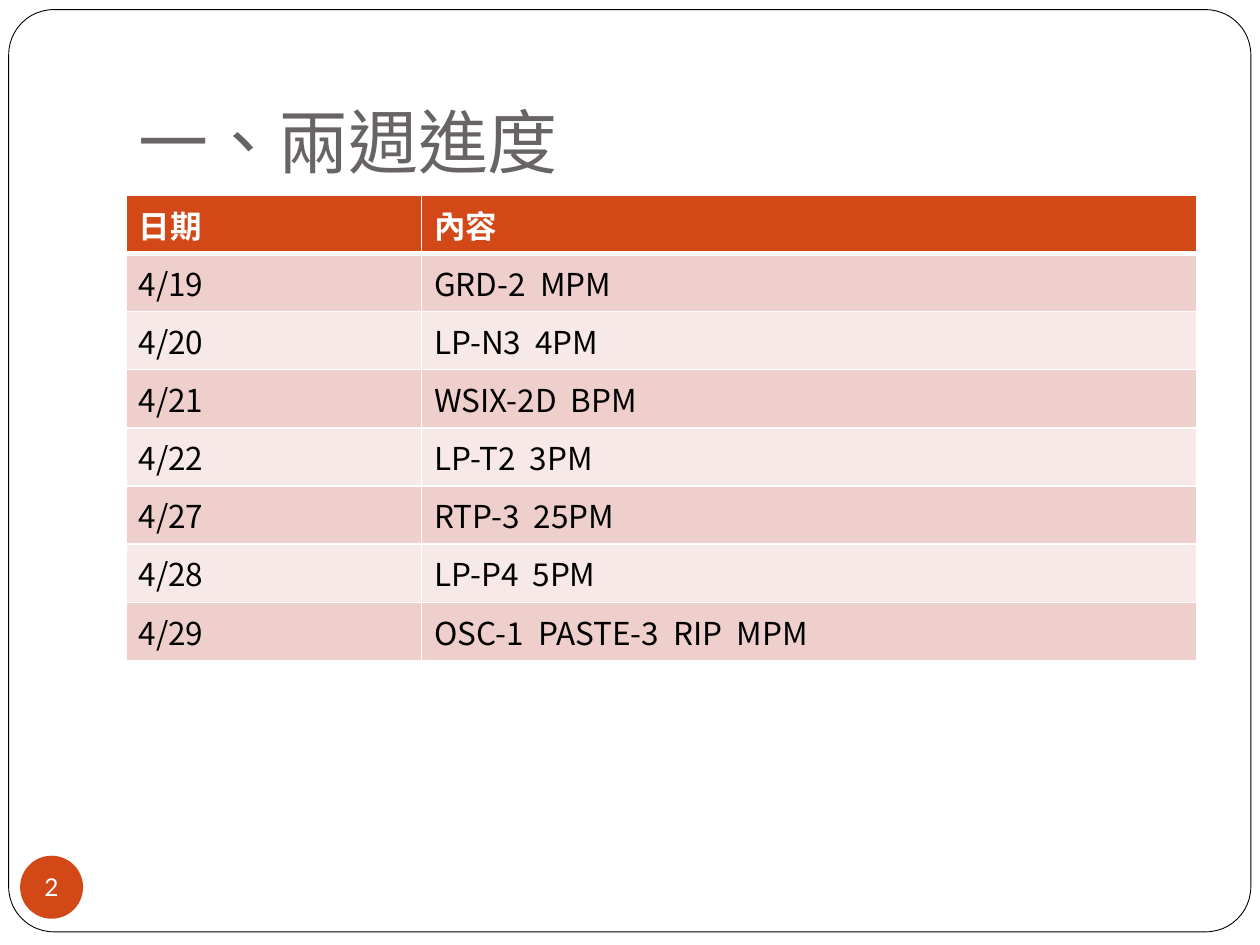
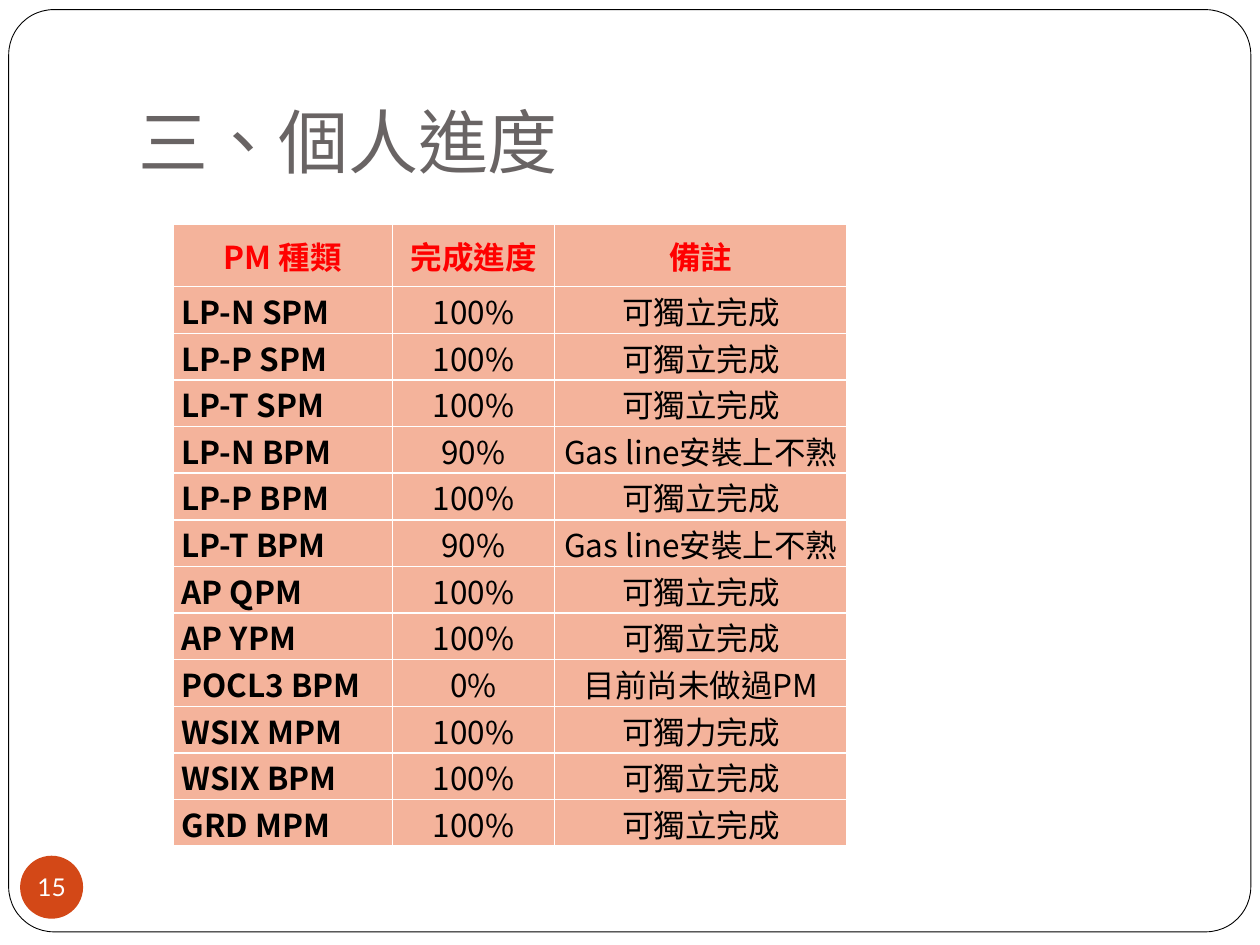
import pptx
import pptx.dml.color
import pptx.enum.lang
import pptx.enum.shapes
import pptx.enum.text
import pptx.oxml
import pptx.oxml.ns
import pptx.util

Pt = pptx.util.Pt
SHAPE = pptx.enum.shapes.MSO_SHAPE
ALIGN = pptx.enum.text.PP_ALIGN
ANCHOR = pptx.enum.text.MSO_ANCHOR
TAIWAN = pptx.enum.lang.MSO_LANGUAGE_ID.TRADITIONAL_CHINESE

COLORS = {
    "white": "FFFFFF", "black": "000000", "title": "696464",
    "accent": "D34817", "band_dark": "EFCFCC", "band_light": "F7E9E8",
    "peach": "F4B39B", "red": "FF0000",
}
TITLE_FONT, TABLE_FONT = "Lato", "Noto Sans CJK SC"
SLIDE_BOX = (0, 0, 720, 540)
CELL_MARGINS = (7.2, 3.6, 7.2, 3.6)
TIGHT_MARGINS = (0.72, 0.72, 0.72, 0)
NAME_MARGINS = (4.75, 0.72, 0.72, 0)

SCHEDULE = [
    ("日期", "內容"),
    ("4/19", "GRD-2  MPM"),
    ("4/20", "LP-N3  4PM"),
    ("4/21", "WSIX-2D  BPM"),
    ("4/22", "LP-T2  3PM"),
    ("4/27", "RTP-3  25PM"),
    ("4/28", "LP-P4  5PM"),
    ("4/29", "OSC-1  PASTE-3  RIP  MPM"),
]
DONE, GAS_LINE = "可獨立完成", "Gas line安裝上不熟"
PROGRESS = [
    ("PM 種類", "完成進度", "備註"),
    ("LP-N SPM", "100%", DONE),
    ("LP-P SPM", "100%", DONE),
    ("LP-T SPM", "100%", DONE),
    ("LP-N BPM", "90%", GAS_LINE),
    ("LP-P BPM", "100%", DONE),
    ("LP-T BPM", "90%", GAS_LINE),
    ("AP QPM", "100%", DONE),
    ("AP YPM", "100%", DONE),
    ("POCL3 BPM", "0%", "目前尚未做過PM"),
    ("WSIX MPM", "100%", "可獨力完成"),
    ("WSIX BPM", "100%", DONE),
    ("GRD MPM", "100%", DONE),
]


def rgb(name):
    return pptx.dml.color.RGBColor.from_string(COLORS[name])


def write(frame, text, *, size=18, font=TABLE_FONT, color="black", bold=False,
          align=ALIGN.LEFT):
    paragraph = frame.paragraphs[0]
    paragraph.alignment = align
    run = paragraph.add_run()
    run.text = text
    run.font.size, run.font.name, run.font.bold = Pt(size), font, bold
    run.font.color.rgb = rgb(color)
    run.font.language_id = TAIWAN


def set_margins(holder, margins):
    (holder.margin_left, holder.margin_top,
     holder.margin_right, holder.margin_bottom) = map(Pt, margins)


def set_borders(cell, top=1, bottom=1):
    """White cell borders; widths in points."""
    properties = cell._tc.get_or_add_tcPr()
    widths = {"lnL": 1, "lnR": 1, "lnT": top, "lnB": bottom}
    for position, (side, width) in enumerate(widths.items()):
        properties.insert(position, pptx.oxml.parse_xml(
            f'<a:{side} {pptx.oxml.ns.nsdecls("a")} w="{Pt(width)}"><a:solidFill>'
            f'<a:srgbClr val="{COLORS["white"]}"/></a:solidFill></a:{side}>'))


def add_filled(slide, kind, box, fill):
    shape = slide.shapes.add_shape(kind, *map(Pt, box))
    shape.shadow.inherit = False
    shape.fill.solid()
    shape.fill.fore_color.rgb = rgb(fill)
    return shape


def add_frame_and_title(slide, box, title):
    left, top, width, height = box
    # Rounded page frame
    page = add_filled(slide, SHAPE.ROUNDED_RECTANGLE,
                      (left + 5, top + 5.5, width - 10.2, height - 13), "white")
    page.adjustments[0] = 0.049
    page.line.color.rgb = rgb("black")
    page.line.width = Pt(0.5)
    # Title
    heading = slide.shapes.add_textbox(
        *map(Pt, (left + 72, top + 21.6, width - 108, 90))).text_frame
    heading.word_wrap = True
    heading.vertical_anchor = ANCHOR.BOTTOM
    set_margins(heading, (7.2, 3.6, 7.2, 7.2))
    write(heading, title, size=40, font=TITLE_FONT, color="title")


def add_page_number(slide, box, number):
    left, top, _, height = box
    badge = add_filled(slide, SHAPE.OVAL,
                       (left + 11.5, top + height - 51, 36, 36), "accent")
    badge.line.fill.background()
    frame = badge.text_frame
    frame.word_wrap = False
    frame.vertical_anchor = ANCHOR.MIDDLE
    set_margins(frame, (0, 0, 0, 0))
    write(frame, str(number), size=14, font=TITLE_FONT, color="white",
          align=ALIGN.CENTER)


def add_table(slide, left, top, widths, heights, rows, style_cell):
    """Fill a table; style_cell(row, column) gives each cell's look."""
    table = slide.shapes.add_table(
        len(rows), len(widths),
        *map(Pt, (left, top, sum(widths), sum(heights)))).table
    for column, width in zip(table.columns, widths):
        column.width = Pt(width)
    for r, (row, height) in enumerate(zip(rows, heights)):
        table.rows[r].height = Pt(height)
        for c, text in enumerate(row):
            look = style_cell(r, c)
            cell = table.cell(r, c)
            cell.fill.solid()
            cell.fill.fore_color.rgb = rgb(look["fill"])
            cell.vertical_anchor = look["anchor"]
            set_margins(cell, look["margins"])
            set_borders(cell, **look["borders"])
            write(cell.text_frame, text, **look["text"])


def schedule_cell(row, column):
    header = row == 0
    band = "band_dark" if row % 2 else "band_light"
    return {
        "fill": "accent" if header else band,
        "anchor": ANCHOR.TOP,
        "margins": CELL_MARGINS,
        "borders": {"top": 3 if row == 1 else 1, "bottom": 3 if header else 1},
        "text": {"color": "white" if header else "black", "bold": header},
    }


def progress_cell(row, column):
    header = row == 0
    pm_name = column == 0 and not header
    return {
        "fill": "peach",
        "anchor": ANCHOR.MIDDLE,
        "margins": NAME_MARGINS if pm_name else TIGHT_MARGINS,
        "borders": {},
        "text": {"color": "red" if header else "black",
                 "bold": header or pm_name,
                 "align": ALIGN.LEFT if pm_name else ALIGN.CENTER},
    }


def add_schedule(slide, box):
    left, top, _, _ = box
    add_table(slide, left + 72, top + 111.6, [169, 443],
              [33.24] * len(SCHEDULE), SCHEDULE, schedule_cell)


def add_progress(slide, box):
    left, top, _, _ = box
    add_table(slide, left + 99, top + 128.3, [125.2, 92.8, 167],
              [35.5] + [26.67] * (len(PROGRESS) - 1), PROGRESS, progress_cell)


def main():
    deck = pptx.Presentation()
    deck.slide_width, deck.slide_height = map(Pt, SLIDE_BOX[2:])
    for title, number, add_content in (("一、兩週進度", 2, add_schedule),
                                       ("三、個人進度", 15, add_progress)):
        slide = deck.slides.add_slide(deck.slide_layouts[6])
        add_frame_and_title(slide, SLIDE_BOX, title)
        add_content(slide, SLIDE_BOX)
        add_page_number(slide, SLIDE_BOX, number)
    deck.save("out.pptx")


if __name__ == "__main__":
    main()
